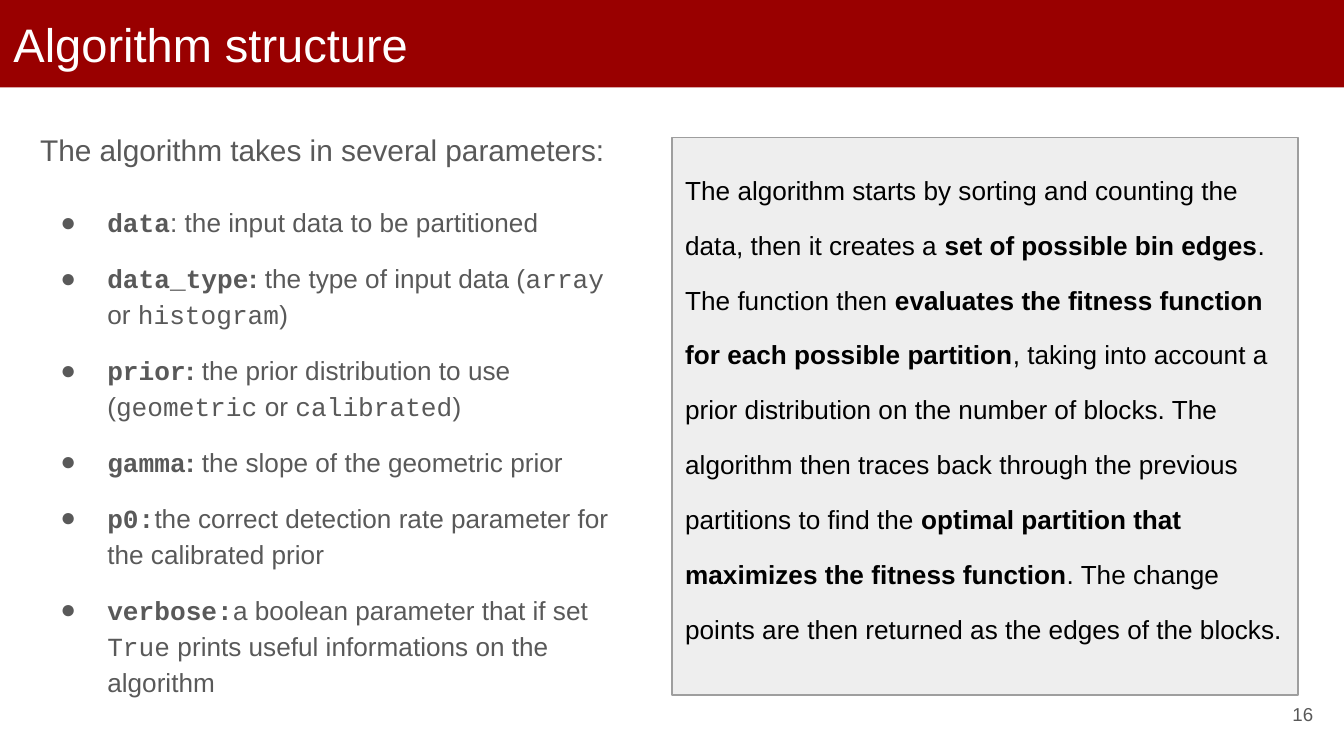
from pptx import Presentation
from pptx.util import Pt
from pptx.dml.color import RGBColor
from pptx.enum.shapes import MSO_SHAPE as Shape
from pptx.enum.text import PP_ALIGN as Align, MSO_ANCHOR as Anchor, MSO_AUTO_SIZE as Auto
from lxml.etree import SubElement as Sub
from pptx.oxml.ns import qn

SANS, MONO = "Arial", "Courier New"
GREY = "595959"


def color(code):
    return RGBColor.from_string(code)


def setup(shape, anchor=Anchor.TOP):
    frame = shape.text_frame
    frame.word_wrap = True
    frame.auto_size = Auto.NONE
    frame.vertical_anchor = anchor
    frame.margin_left = frame.margin_right = Pt(7.2)
    frame.margin_top = frame.margin_bottom = Pt(7.2)
    return frame


deck = Presentation()
deck.slide_width, deck.slide_height = Pt(720), Pt(405)
slide = deck.slides.add_slide(deck.slide_layouts[5])
shapes = slide.shapes

# Title bar
title = shapes.title
title.left, title.top, title.width, title.height = Pt(0), Pt(0), Pt(720), Pt(46.8)
title.fill.solid()
title.fill.fore_color.rgb = color("990000")
para = setup(title, Anchor.MIDDLE).paragraphs[0]
para.text = "Algorithm structure"
para.alignment = Align.LEFT
para.font.size = Pt(25.2)
para.font.name = SANS
para.font.color.rgb = color("FFFFFF")

# Parameter list: each run is text, font, bold
params = [
    [("data", MONO, True), (": the input data to be partitioned", SANS, False)],
    [("data_type", MONO, True), (": ", SANS, True), ("the type of input data (", SANS, False),
     ("array", MONO, False), (" or ", SANS, False), ("histogram", MONO, False), (")", SANS, False)],
    [("prior", MONO, True), (": ", SANS, True), ("the prior distribution to use (", SANS, False),
     ("geometric", MONO, False), (" or ", SANS, False), ("calibrated", MONO, False), (")", SANS, False)],
    [("gamma", MONO, True), (": ", SANS, True), ("the slope of the geometric prior", SANS, False)],
    [("p0:", MONO, True),
     ("the correct detection rate parameter for the calibrated prior", SANS, False)],
    [("verbose:", MONO, True), ("a boolean parameter that if set ", SANS, False),
     ("True", MONO, False), (" prints useful informations on the algorithm", SANS, False)],
]
body = setup(shapes.add_textbox(Pt(14.4), Pt(60.5), Pt(322.6), Pt(326.2)))
para = body.paragraphs[0]
para.text = "The algorithm takes in several parameters:"
para.line_spacing = 1.15
para.font.size = Pt(16)
para.font.name = SANS
para.font.color.rgb = color(GREY)

for i, runs in enumerate(params):
    para = body.add_paragraph()
    para.line_spacing = 1.15
    para.space_before = Pt(10.6 if i else 18.5)
    para.font.size = Pt(14)
    para.font.color.rgb = color(GREY)
    props = para._p.get_or_add_pPr()
    props.set("marL", str(Pt(36)))
    props.set("indent", str(Pt(-25.2)))
    tint = Sub(props, qn("a:buClr"))
    Sub(tint, qn("a:srgbClr"), val=GREY)
    Sub(props, qn("a:buFont"), typeface=SANS)
    Sub(props, qn("a:buChar"), char="●")
    # Bullet properties come before the default run properties
    props.append(props.find(qn("a:defRPr")))
    for text, face, bold in runs:
        run = para.add_run()
        run.text = text
        run.font.name = face
        run.font.bold = bold

# Summary box: every second part is bold
parts = [
    "The algorithm starts by sorting and counting the data, then it creates a ",
    "set of possible bin edges",
    ". The function then ",
    "evaluates the fitness function for each possible partition",
    ", taking into account a prior distribution on the number of blocks. "
    "The algorithm then traces back through the previous partitions to find the ",
    "optimal partition that maximizes the fitness function",
    ". The change points are then returned as the edges of the blocks.",
]
box = shapes.add_shape(Shape.RECTANGLE, Pt(360), Pt(73.5), Pt(335.5), Pt(298.8))
box.shadow.inherit = False
box.fill.solid()
box.fill.fore_color.rgb = color("EEEEEE")
box.line.color.rgb = color("9E9E9E")
box.line.width = Pt(0.75)
para = setup(box).paragraphs[0]
para.alignment = Align.LEFT
para.line_spacing = 1.75
para.space_before = Pt(15)
para.font.size = Pt(14)
para.font.name = SANS
para.font.color.rgb = color("000000")
for i, text in enumerate(parts):
    run = para.add_run()
    run.text = text
    run.font.bold = i % 2 == 1
    run.font.color.rgb = color("000000")

# Page number
page = setup(shapes.add_textbox(Pt(667.4), Pt(367.2), Pt(43.2), Pt(31)), Anchor.MIDDLE)
para = page.paragraphs[0]
para.text = "16"
para.alignment = Align.RIGHT
para.font.size = Pt(10)
para.font.name = SANS
para.font.color.rgb = color(GREY)

deck.save("out.pptx")
